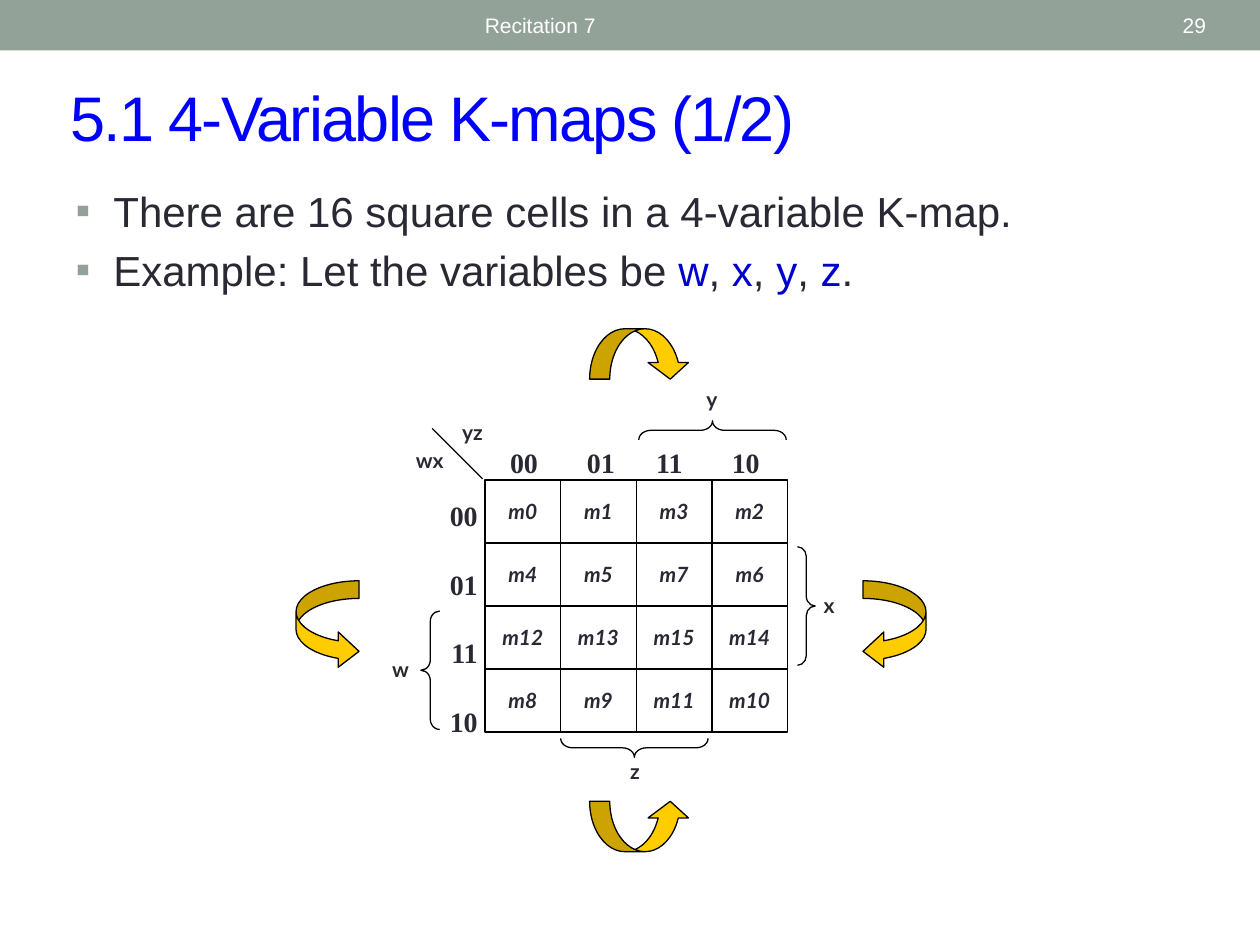
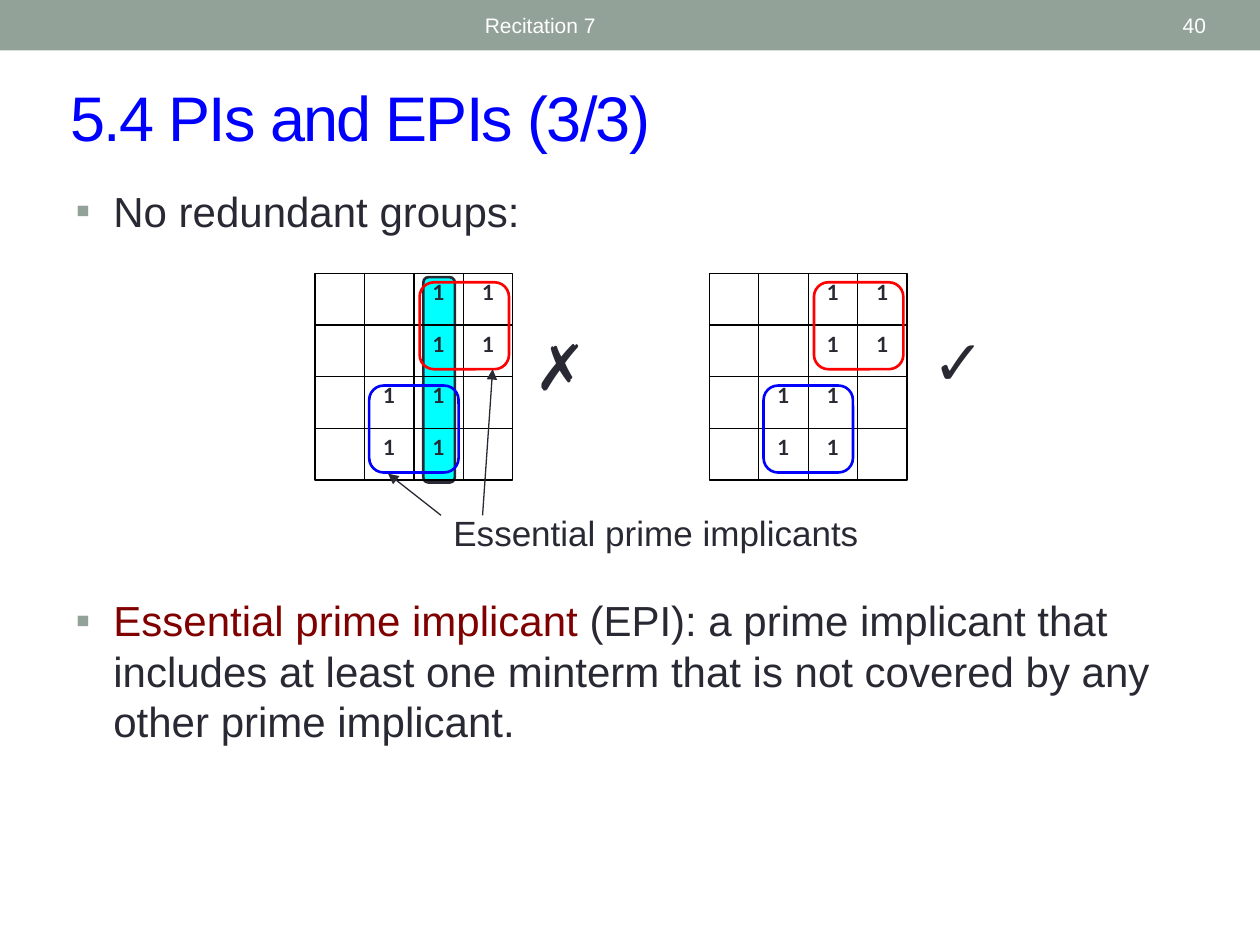
from dataclasses import dataclass
from typing import NamedTuple

from lxml import etree
from pptx import Presentation
from pptx.dml.color import RGBColor
from pptx.enum.shapes import MSO_CONNECTOR, MSO_SHAPE
from pptx.enum.text import MSO_ANCHOR, MSO_AUTO_SIZE, PP_ALIGN
from pptx.oxml.ns import qn
from pptx.util import Inches, Pt

LEFT, CENTER, RIGHT = PP_ALIGN.LEFT, PP_ALIGN.CENTER, PP_ALIGN.RIGHT
TOP, MIDDLE = MSO_ANCHOR.TOP, MSO_ANCHOR.MIDDLE
NO_AUTOFIT = MSO_AUTO_SIZE.NONE
STRAIGHT = MSO_CONNECTOR.STRAIGHT
RECTANGLE, ROUNDED = MSO_SHAPE.RECTANGLE, MSO_SHAPE.ROUNDED_RECTANGLE
BRACE = MSO_SHAPE.LEFT_BRACE
SIDE_ARROW, UP_ARROW = MSO_SHAPE.CURVED_RIGHT_ARROW, MSO_SHAPE.CURVED_UP_ARROW

SAGE = RGBColor(0x93, 0xA2, 0x99)
INK = RGBColor(0x29, 0x29, 0x34)
BLUE = RGBColor(0x00, 0x00, 0xFF)
NAVY = RGBColor(0x00, 0x00, 0xCC)
MAROON = RGBColor(0x80, 0x00, 0x00)
RED = RGBColor(0xFF, 0x00, 0x00)
CYAN = RGBColor(0x00, 0xFF, 0xFF)
GOLD = RGBColor(0xFF, 0xCC, 0x00)
BLACK = RGBColor(0x00, 0x00, 0x00)
WHITE = RGBColor(0xFF, 0xFF, 0xFF)

SANS, LABEL, SERIF = "Arial", "Lato", "Times New Roman"
TITLE_AND_CONTENT, TWO_CONTENT = 1, 3


class Box(NamedTuple):
    left: float
    top: float
    width: float
    height: float

    def lengths(self) -> list:
        return [Inches(value) for value in self]


class Point(NamedTuple):
    x: float
    y: float


class Run(NamedTuple):
    text: str
    color: RGBColor = INK


class Label(NamedTuple):
    text: str
    box: Box


@dataclass
class Figure:
    kind: int
    box: Box
    adjustments: tuple = ()
    fill: RGBColor | None = None
    line: RGBColor | None = BLACK
    weight: float = 0.75
    rotation: float = 0
    flip: str = ""


@dataclass
class KMap:
    box: Box
    cells: tuple
    italic: bool = False

    def cell(self, row: int, column: int) -> Box:
        width, height = self.box.width / 4, self.box.height / 4
        return Box(self.box.left + column * width, self.box.top + row * height, width, height)


TITLE_BOX = Box(0.46, 0.57, 9.07, 0.7)
FOOTER_BOX = Box(3.75, 0.02, 4.5, 0.36)
NUMBER_BOX = Box(8.72, 0.02, 0.95, 0.36)
BAND = Figure(RECTANGLE, Box(0, 0, 10, 0.4), fill=SAGE, line=None)

MINTERMS = KMap(
    Box(3.85, 3.81, 2.4, 2),
    (("m0", "m1", "m3", "m2"), ("m4", "m5", "m7", "m6"),
     ("m12", "m13", "m15", "m14"), ("m8", "m9", "m11", "m10")),
    italic=True,
)
MINTERM_TEXT_DROP = 0.1
GRAY_CODE = ("00", "01", "11", "10")
COLUMN_TABS = (0.61, 1.16, 1.76)
VARIABLE_LABELS = (
    Label("w", Box(2.96, 5.16, 0.44, 0.4)),
    Label("x", Box(6.36, 4.65, 0.44, 0.4)),
    Label("y", Box(5.43, 3.02, 0.44, 0.32)),
    Label("z", Box(4.82, 5.97, 0.44, 0.3)),
    Label("wx", Box(3.15, 3.5, 0.52, 0.36)),
    Label("yz", Box(3.49, 3.28, 0.52, 0.32)),
)
BRACES = (
    Figure(BRACE, Box(3.34, 4.85, 0.15, 0.94), (0.54, 0.5)),
    Figure(BRACE, Box(6.33, 4.34, 0.14, 0.94), (0.55, 0.5), flip="flipH"),
    Figure(BRACE, Box(5.58, 2.83, 0.15, 1.17), (0.63, 0.5), rotation=90, flip="flipV"),
    Figure(BRACE, Box(4.96, 5.35, 0.15, 1.17), (0.63, 0.5), rotation=270),
)
SIDE_BEND, UP_BEND = (0.28, 0.56, 0.33), (0.4, 0.8, 0.33)
WRAP_ARROWS = (
    Figure(SIDE_ARROW, Box(2.35, 4.61, 0.5, 0.7), SIDE_BEND, GOLD),
    Figure(SIDE_ARROW, Box(6.85, 4.61, 0.5, 0.7), SIDE_BEND, GOLD, flip="flipH"),
    Figure(UP_ARROW, Box(4.68, 6.36, 0.8, 0.4), UP_BEND, GOLD),
    Figure(UP_ARROW, Box(4.68, 2.61, 0.8, 0.4), UP_BEND, GOLD, flip="flipV"),
)

ONES = (("", "", "1", "1"), ("", "", "1", "1"), ("", "1", "1", ""), ("", "1", "1", ""))
REDUNDANT_MAP = KMap(Box(2.5, 2.17, 1.57, 1.64), ONES)
MINIMAL_MAP = KMap(Box(5.63, 2.17, 1.57, 1.64), ONES)
REDUNDANT_GROUP = Figure(ROUNDED, Box(3.36, 2.2, 0.25, 1.63), fill=CYAN, line=INK, weight=1.5)
IMPLICANT_ARROWS = (
    (Point(3.83, 4.09), Point(3.91, 2.93)),
    (Point(3.5, 4.09), Point(3.08, 3.76)),
)


def write_text(frame, paragraphs, *, size: float, font: str = SANS, color: RGBColor = INK,
               bold: bool = False, italic: bool = False, align=LEFT, anchor=TOP,
               space_before: float = 0) -> None:
    frame.word_wrap = True
    frame.auto_size = NO_AUTOFIT
    frame.vertical_anchor = anchor
    if isinstance(paragraphs, str):
        paragraphs = [[Run(paragraphs, color)]]
    for index, runs in enumerate(paragraphs):
        paragraph = frame.add_paragraph() if index else frame.paragraphs[0]
        paragraph.alignment = align
        if index and space_before:
            paragraph.space_before = Pt(space_before)
        for text, run_color in runs:
            run = paragraph.add_run()
            run.text = text
            run.font.name = font
            run.font.size = Pt(size)
            run.font.bold = bold
            run.font.italic = italic
            run.font.color.rgb = run_color


def add_text(slide, text, box: Box, **text_format):
    shape = slide.shapes.add_textbox(*box.lengths())
    write_text(shape.text_frame, text, **text_format)
    return shape


def add_figure(slide, figure: Figure) -> None:
    shape = slide.shapes.add_shape(figure.kind, *figure.box.lengths())
    shape.shadow.inherit = False
    shape.rotation = figure.rotation
    for index, value in enumerate(figure.adjustments):
        shape.adjustments[index] = value
    if figure.fill is None:
        shape.fill.background()
    else:
        shape.fill.solid()
        shape.fill.fore_color.rgb = figure.fill
    if figure.line is None:
        shape.line.fill.background()
    else:
        shape.line.color.rgb = figure.line
        shape.line.width = Pt(figure.weight)
    if figure.flip:
        shape._element.spPr.get_or_add_xfrm().set(figure.flip, "1")


def add_line(slide, start: Point, end: Point, color: RGBColor = BLACK, arrow: bool = False) -> None:
    ends = [Inches(value) for value in (*start, *end)]
    connector = slide.shapes.add_connector(STRAIGHT, *ends)
    connector.line.color.rgb = color
    connector.line.width = Pt(0.75)
    if arrow:
        etree.SubElement(connector.line._get_or_add_ln(), qn("a:tailEnd"), type="triangle")
    etree.SubElement(connector._element.spPr, qn("a:effectLst"))


def place(shape, box: Box) -> None:
    shape.left, shape.top, shape.width, shape.height = box.lengths()


def fill_list(placeholder, box: Box, paragraphs: list) -> None:
    place(placeholder, box)
    write_text(placeholder.text_frame, paragraphs, size=24)
    indent = Inches(0.3)
    for paragraph in placeholder.text_frame.paragraphs:
        properties = paragraph._p.get_or_add_pPr()
        properties.set("marL", str(indent))
        properties.set("indent", str(-indent))
        bullet_color = etree.SubElement(properties, qn("a:buClr"))
        etree.SubElement(bullet_color, qn("a:srgbClr"), val=str(SAGE))
        etree.SubElement(properties, qn("a:buChar"), char="▪")


def add_slide(presentation, layout: int, title: str, number: str):
    slide = presentation.slides.add_slide(presentation.slide_layouts[layout])
    add_figure(slide, BAND)
    place(slide.shapes.title, TITLE_BOX)
    write_text(slide.shapes.title.text_frame, title, size=36, color=BLUE, anchor=MIDDLE)
    title_run = slide.shapes.title.text_frame.paragraphs[0].runs[0]
    title_run.font._element.set("spc", "-100")
    add_text(slide, "Recitation 7", FOOTER_BOX, size=12, color=WHITE, anchor=MIDDLE)
    add_text(slide, number, NUMBER_BOX, size=12, color=WHITE, align=RIGHT, anchor=MIDDLE)
    return slide


def add_kmap(slide, kmap: KMap, text_drop: float = 0) -> None:
    left, top, width, height = kmap.box
    add_figure(slide, Figure(RECTANGLE, kmap.box))
    for index in range(1, 4):
        x, y = left + index * width / 4, top + index * height / 4
        add_line(slide, Point(left, y), Point(left + width, y))
        add_line(slide, Point(x, top), Point(x, top + height))
    for row, values in enumerate(kmap.cells):
        for column, value in enumerate(values):
            if value:
                cell = kmap.cell(row, column)
                box = cell._replace(top=cell.top + text_drop, height=cell.height - text_drop)
                add_text(slide, value, box, size=12, font=LABEL, bold=True,
                         italic=kmap.italic, align=CENTER)


def add_essential_groups(slide, kmap: KMap) -> None:
    for x, y, color in ((0.43, 0.89, BLUE), (0.83, 0.07, RED)):
        box = Box(kmap.box.left + x, kmap.box.top + y, 0.71, 0.69)
        add_figure(slide, Figure(ROUNDED, box, line=color, weight=1.5))


def build_variables_slide(presentation) -> None:
    slide = add_slide(presentation, TITLE_AND_CONTENT, "5.1 4-Variable K-maps (1/2)", "29")
    fill_list(slide.placeholders[1], Box(0.5, 1.42, 9, 1.19), [
        [Run("There are 16 square cells in a 4-variable K-map.")],
        [Run("Example: Let the variables be "), Run("w", NAVY), Run(", "), Run("x", NAVY),
         Run(", "), Run("y", NAVY), Run(", "), Run("z", NAVY), Run(".")],
    ])
    add_kmap(slide, MINTERMS, MINTERM_TEXT_DROP)
    add_line(slide, Point(3.83, 3.8), Point(3.43, 3.4))
    add_text(slide, [[Run(code)] for code in GRAY_CODE], Box(3.45, 3.91, 0.44, 2.07),
             size=16, font=SERIF, bold=True, align=RIGHT, space_before=20)
    columns = add_text(slide, "\t".join(GRAY_CODE), Box(3.95, 3.49, 2.24, 0.4),
                       size=16, font=SERIF, bold=True)
    properties = columns.text_frame.paragraphs[0]._p.get_or_add_pPr()
    tabs = etree.SubElement(properties, qn("a:tabLst"))
    for position in COLUMN_TABS:
        etree.SubElement(tabs, qn("a:tab"), pos=str(Inches(position)), algn="l")
    for label in VARIABLE_LABELS:
        add_text(slide, label.text, label.box, size=12, font=LABEL, bold=True, align=CENTER)
    for figure in BRACES + WRAP_ARROWS:
        add_figure(slide, figure)


def build_implicants_slide(presentation) -> None:
    slide = add_slide(presentation, TWO_CONTENT, "5.4 PIs and EPIs (3/3)", "40")
    fill_list(slide.placeholders[1], Box(0.5, 1.42, 9, 0.67), [[Run("No redundant groups:")]])
    fill_list(slide.placeholders[2], Box(0.5, 4.67, 9, 1.67), [[
        Run("Essential prime implicant", MAROON),
        Run(" (EPI): a prime implicant that includes at least one minterm that is not "
            "covered by any other prime implicant."),
    ]])
    add_figure(slide, REDUNDANT_GROUP)
    for kmap in (MINIMAL_MAP, REDUNDANT_MAP):
        add_kmap(slide, kmap)
        add_essential_groups(slide, kmap)
    add_text(slide, "✓", Box(7.3, 2.51, 0.78, 0.95), size=36)
    add_text(slide, "✗", Box(4.14, 2.55, 0.78, 0.95), size=36)
    for start, end in IMPLICANT_ARROWS:
        add_line(slide, start, end, INK, arrow=True)
    add_text(slide, "Essential prime implicants", Box(3.5, 4.01, 3.67, 0.43), size=20)


def main() -> None:
    presentation = Presentation()
    presentation.slide_width, presentation.slide_height = Inches(10), Inches(7.5)
    build_variables_slide(presentation)
    build_implicants_slide(presentation)
    presentation.save("out.pptx")


if __name__ == "__main__":
    main()
